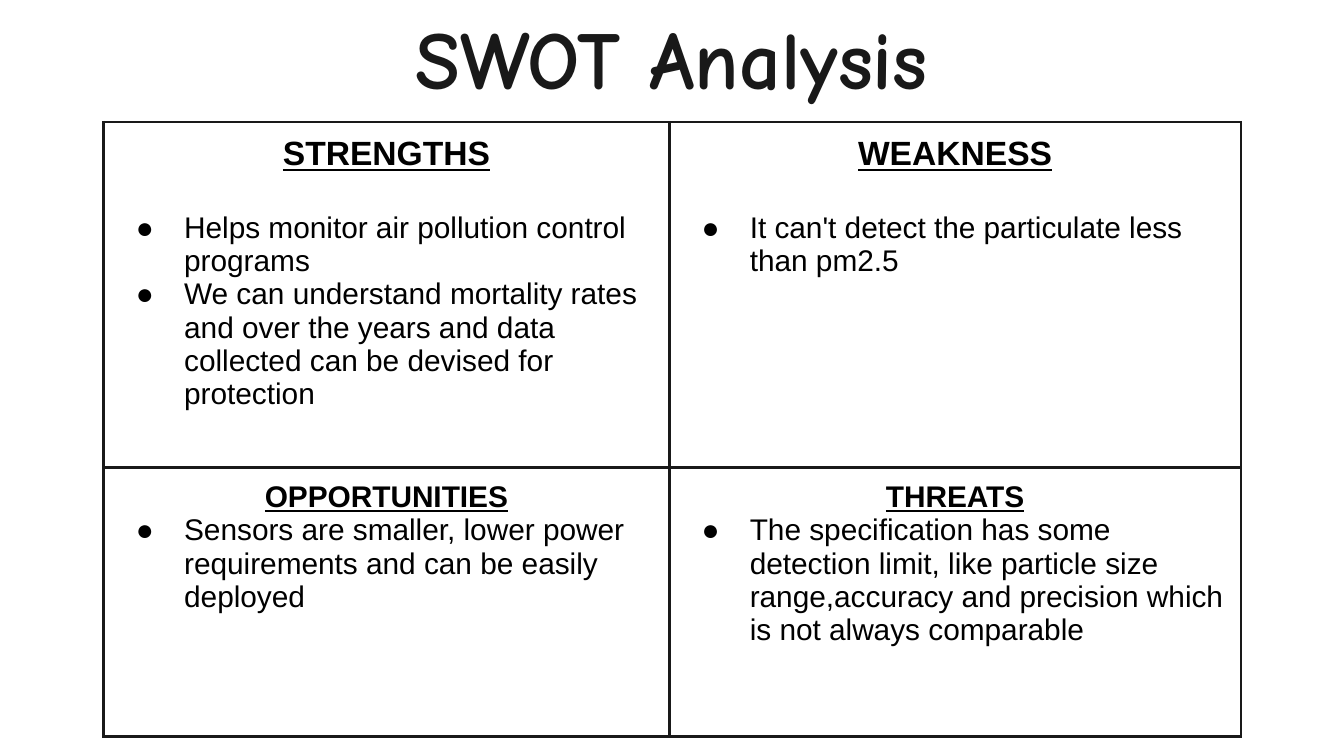
from dataclasses import dataclass

from lxml import etree
from pptx import Presentation
from pptx.dml.color import RGBColor
from pptx.enum.text import MSO_ANCHOR, PP_ALIGN
from pptx.oxml.ns import qn
from pptx.util import Cm, Pt

CENTER, LEFT = PP_ALIGN.CENTER, PP_ALIGN.LEFT
MIDDLE, TOP = MSO_ANCHOR.MIDDLE, MSO_ANCHOR.TOP
INK, BLACK = "191919", "000000"
MARGIN = Cm(0.25)
COL_WIDTHS = (Cm(10.69), Cm(10.8))
ROW_HEIGHTS = (Cm(6.53), Cm(5.08))


@dataclass
class Quadrant:
    heading: str
    bullets: list[str]


@dataclass
class HeadingStyle:
    size: float
    space_after: float


# One heading style per table row
HEADING_STYLES = (HeadingStyle(18, 20.7), HeadingStyle(16, 0))

QUADRANTS = (
    (
        Quadrant("STRENGTHS", [
            "Helps monitor air pollution control programs",
            "We can understand mortality rates and over the years and data "
            "collected can be devised for protection",
        ]),
        Quadrant("WEAKNESS", ["It can't detect the particulate less than pm2.5"]),
    ),
    (
        Quadrant("OPPORTUNITIES", [
            "Sensors are smaller, lower power requirements and can be easily deployed",
        ]),
        Quadrant("THREATS", [
            "The specification has some detection limit, like particle size "
            "range,accuracy and precision which is not always comparable",
        ]),
    ),
)


def rgb(value: str) -> RGBColor:
    return RGBColor.from_string(value)


def write(p, text: str, *, size: float = 16, font: str = "Arial", color: str = BLACK,
          bold: bool = False, underline: bool = False, align=LEFT,
          space_after: float = 0) -> None:
    p.alignment = align
    p.space_before = Pt(0)
    p.space_after = Pt(space_after)
    r = p.add_run()
    r.text = text
    r.font.size = Pt(size)
    r.font.name = font
    r.font.bold = bold
    r.font.underline = underline
    r.font.color.rgb = rgb(color)


def add_bullet(p) -> None:
    pPr = p._p.get_or_add_pPr()
    pPr.set("marL", str(Cm(1.27)))
    pPr.set("indent", str(Cm(-0.91)))
    clr = etree.SubElement(pPr, qn("a:buClr"))
    etree.SubElement(clr, qn("a:srgbClr"), val=BLACK)
    etree.SubElement(pPr, qn("a:buFont"), typeface="Arial")
    etree.SubElement(pPr, qn("a:buChar"), char="●")


def add_borders(cell) -> None:
    tcPr = cell._tc.get_or_add_tcPr()
    for side in ("lnL", "lnR", "lnT", "lnB"):
        ln = etree.SubElement(tcPr, qn(f"a:{side}"), w=str(Pt(1.5)))
        fill = etree.SubElement(ln, qn("a:solidFill"))
        etree.SubElement(fill, qn("a:srgbClr"), val=INK)
        etree.SubElement(ln, qn("a:prstDash"), val="solid")


def set_margins(box) -> None:
    box.margin_left = box.margin_right = MARGIN
    box.margin_top = box.margin_bottom = MARGIN


def fill_cell(cell, quadrant: Quadrant, style: HeadingStyle) -> None:
    set_margins(cell)
    cell.vertical_anchor = TOP
    add_borders(cell)
    cell.fill.background()
    tf = cell.text_frame
    write(tf.paragraphs[0], quadrant.heading, size=style.size, bold=True,
          underline=True, align=CENTER, space_after=style.space_after)
    for text in quadrant.bullets:
        p = tf.add_paragraph()
        write(p, text)
        add_bullet(p)


def add_title(s, text: str) -> None:
    tf = s.shapes.add_textbox(Cm(2), Cm(0.28), Cm(21.4), Cm(1.6)).text_frame
    tf.word_wrap = True
    tf.vertical_anchor = MIDDLE
    set_margins(tf)
    write(tf.paragraphs[0], text, size=44, font="Comic Neue", color=INK,
          bold=True, align=CENTER)


def add_swot_table(s) -> None:
    table = s.shapes.add_table(2, 2, Cm(1.96), Cm(2.31),
                               sum(COL_WIDTHS), sum(ROW_HEIGHTS)).table
    table.first_row = table.horz_banding = False
    for column, width in zip(table.columns, COL_WIDTHS):
        column.width = width
    for row, height, quadrants, style in zip(table.rows, ROW_HEIGHTS,
                                             QUADRANTS, HEADING_STYLES):
        row.height = height
        for cell, quadrant in zip(row.cells, quadrants):
            fill_cell(cell, quadrant, style)


def main() -> None:
    prs = Presentation()
    prs.slide_width, prs.slide_height = Cm(25.4), Cm(14.29)
    s = prs.slides.add_slide(prs.slide_layouts[6])
    add_title(s, "SWOT Analysis")
    add_swot_table(s)
    prs.save("out.pptx")


if __name__ == "__main__":
    main()
